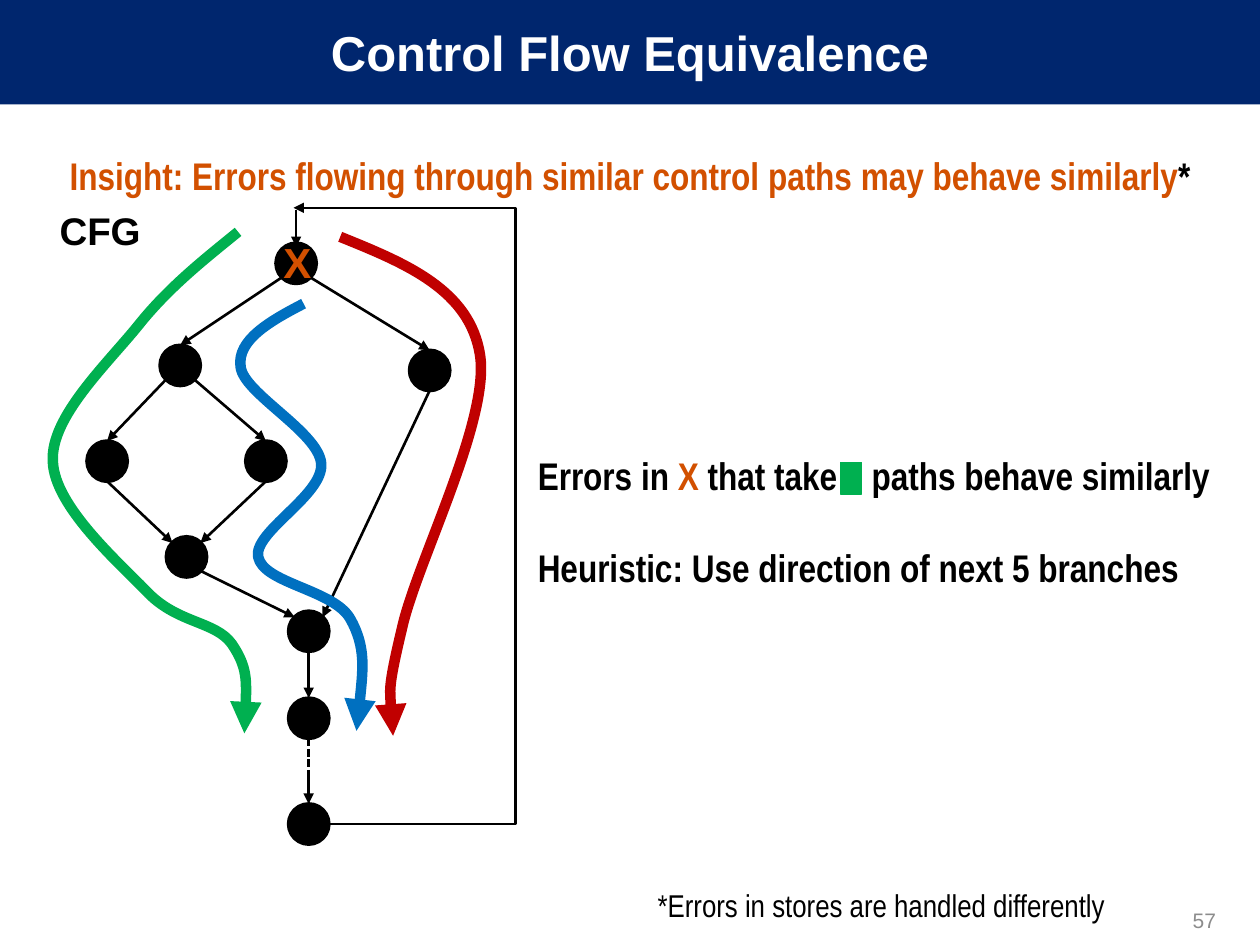
from dataclasses import dataclass

from lxml import etree
from pptx import Presentation
from pptx.dml.color import RGBColor
from pptx.enum.dml import MSO_LINE
from pptx.enum.shapes import MSO_CONNECTOR, MSO_SHAPE
from pptx.enum.text import MSO_ANCHOR, MSO_AUTO_SIZE, PP_ALIGN
from pptx.oxml.ns import qn
from pptx.util import Inches, Pt

STRAIGHT, ELBOW = MSO_CONNECTOR.STRAIGHT, MSO_CONNECTOR.ELBOW
OVAL, RECTANGLE = MSO_SHAPE.OVAL, MSO_SHAPE.RECTANGLE
LEFT, CENTER, RIGHT = PP_ALIGN.LEFT, PP_ALIGN.CENTER, PP_ALIGN.RIGHT
TOP, MIDDLE = MSO_ANCHOR.TOP, MSO_ANCHOR.MIDDLE
SHORT_DASH = MSO_LINE.SQUARE_DOT
NO_AUTOFIT = MSO_AUTO_SIZE.NONE


@dataclass(frozen=True)
class Theme:
    navy: str = "00266E"
    white: str = "FFFFFF"
    black: str = "000000"
    accent: str = "D25000"
    gray: str = "8C8C8C"
    green: str = "00B050"
    blue: str = "0070C0"
    red: str = "C00000"
    sans: str = "Arial"
    narrow: str = "Arial Narrow"
    title: int = 28
    mark: int = 24
    text: int = 22
    note: int = 18
    number: int = 12
    edge: float = 1.5
    route: float = 6


THEME = Theme()

# Graph lengths are inches from the top left corner of the graph's box
RADIUS = 0.16
NODES = {
    "X": (1.95, 0.49), "left": (1.03, 1.3), "right": (3.01, 1.34),
    "low left": (0.45, 2.06), "low right": (1.71, 2.06), "join": (1.08, 2.82),
    "merge": (2.05, 3.41), "next": (2.05, 4.1), "exit": (2.05, 4.94),
}
ANCHORS = {
    "top": (0, -RADIUS), "bottom": (0, RADIUS),
    "NW": (-0.11, -0.11), "NE": (0.11, -0.11),
    "SW": (-0.11, 0.11), "SE": (0.11, 0.11),
}
EDGES = [
    ("X", "SE", "right", "top"), ("X", "SW", "left", "top"),
    ("left", "SE", "low right", "top"), ("left", "SW", "low left", "top"),
    ("low left", "bottom", "join", "NW"), ("low right", "bottom", "join", "NE"),
    ("join", "SE", "merge", "NW"), ("right", "bottom", "merge", "NE"),
    ("merge", "bottom", "next", "top"),
]
# Each route: a start, then three Bezier points for every curve
ROUTES = {
    THEME.green: [
        (1.49, 0.24), (1.22, 0.46), (0.94, 0.68), (0.7, 0.98),
        (0.45, 1.29), (0, 1.71), (0.02, 2.06), (0.03, 2.42), (0.55, 2.87),
        (0.78, 3.11), (1.02, 3.35), (1.31, 3.33), (1.44, 3.51),
        (1.57, 3.7), (1.56, 3.96), (1.54, 4.22)],
    THEME.blue: [
        (2.01, 0.81), (1.74, 0.95), (1.48, 1.1), (1.51, 1.31),
        (1.53, 1.52), (2.13, 1.83), (2.15, 2.08), (2.17, 2.33), (1.61, 2.62),
        (1.65, 2.82), (1.69, 3.03), (2.25, 3.08), (2.38, 3.31),
        (2.51, 3.54), (2.47, 3.87), (2.43, 4.2)],
    THEME.red: [
        (2.3, 0.28), (2.82, 0.49), (3.33, 0.7), (3.41, 1.22),
        (3.49, 1.74), (2.9, 2.88), (2.79, 3.39),
        (2.67, 3.89), (2.7, 4.07), (2.72, 4.24)],
}


def color(value):
    return RGBColor.from_string(value)


def style(span, size, tint=THEME.black, face=THEME.sans, bold=True):
    span.font.size, span.font.name, span.font.bold = Pt(size), face, bold
    span.font.color.rgb = color(tint)


def place(shape, box):
    shape.left, shape.top, shape.width, shape.height = map(Inches, box)


def add_spans(para, spans, size, face=THEME.narrow, bold=True):
    for words, tint in spans:
        span = para.add_run()
        span.text = words
        style(span, size, tint, face, bold)


def add_label(page, box, words, size, tint=THEME.black, face=THEME.sans,
              bold=True, align=LEFT, anchor=TOP, wrap=True):
    label = page.shapes.add_textbox(*map(Inches, box))
    frame = label.text_frame
    frame.word_wrap, frame.vertical_anchor = wrap, anchor
    para = frame.paragraphs[0]
    para.alignment = align
    add_spans(para, [(words, tint)], size, face, bold)
    return label


def add_solid(page, kind, box, fill, line_width=None):
    shape = page.shapes.add_shape(kind, *map(Inches, box))
    shape.shadow.inherit = False
    shape.fill.solid()
    shape.fill.fore_color.rgb = color(fill)
    if line_width:
        shape.line.color.rgb = color(fill)
        shape.line.width = Pt(line_width)
    else:
        shape.line.fill.background()
    return shape


def add_arrowhead(shape):
    line = shape.element.spPr.find(qn("a:ln"))
    etree.SubElement(line, qn("a:tailEnd"), type="triangle")


def add_edge(page, start, end, kind=STRAIGHT, dashed=False):
    edge = page.shapes.add_connector(kind, *map(Inches, (*start, *end)))
    edge.line.color.rgb = color(THEME.black)
    edge.line.width = Pt(THEME.edge)
    if dashed:
        edge.line.dash_style = SHORT_DASH
    else:
        add_arrowhead(edge)
    etree.SubElement(edge.element.spPr, qn("a:effectLst"))
    return edge


def add_route(page, points, tint):
    start, *rest = [(Inches(x), Inches(y)) for x, y in points]
    builder = page.shapes.build_freeform(*start)
    builder.add_line_segments(rest, close=False)
    route = builder.convert_to_shape()
    # Merge each three straight segments into one Bezier curve
    segments = list(route.element.iter(qn("a:lnTo")))
    for first in range(0, len(segments), 3):
        curve = etree.Element(qn("a:cubicBezTo"))
        segments[first].addprevious(curve)
        for segment in segments[first:first + 3]:
            curve.append(segment[0])
            segment.getparent().remove(segment)
    route.shadow.inherit = False
    route.fill.background()
    route.line.color.rgb = color(tint)
    route.line.width = Pt(THEME.route)
    add_arrowhead(route)


def add_heading(page, box):
    title = page.shapes.title
    place(title, box)
    band = add_solid(page, RECTANGLE, box, THEME.navy)
    title.element.addprevious(band.element)
    frame = title.text_frame
    frame.text = "Control Flow Equivalence"
    frame.vertical_anchor, frame.auto_size = MIDDLE, NO_AUTOFIT
    frame.paragraphs[0].alignment = CENTER
    style(frame.paragraphs[0].runs[0], THEME.title, THEME.white)


def add_insight(page, box):
    body = page.placeholders[1]
    place(body, box)
    body.text_frame.auto_size = NO_AUTOFIT
    para = body.text_frame.paragraphs[0]
    props = para._p.get_or_add_pPr()
    props.set("marL", "0")
    props.set("indent", "0")
    etree.SubElement(props, qn("a:buNone"))
    para.alignment, para.line_spacing, para.space_before = CENTER, 1.2, Pt(0)
    add_spans(para, [
        ("Insight: Errors flowing through similar control paths may behave similarly",
         THEME.accent), ("*", THEME.black)], THEME.text)


def add_flow_graph(page, box):
    left, top, width, height = box

    def at(point, offset=(0, 0)):
        return left + point[0] + offset[0], top + point[1] + offset[1]

    # Nodes and branches
    for center in NODES.values():
        add_solid(page, OVAL, (*at(center, (-RADIUS, -RADIUS)), 2 * RADIUS, 2 * RADIUS),
                  THEME.black, 2)
    for source, leaving, target, entering in EDGES:
        add_edge(page, at(NODES[source], ANCHORS[leaving]),
                 at(NODES[target], ANCHORS[entering]))

    # Labels
    add_label(page, (left - 0.07, top - 0.03, 0.93, 0.51), "CFG", THEME.text,
              align=CENTER, anchor=MIDDLE, wrap=False)
    add_label(page, (*at((1.75, 0.23)), 0.43, 0.5), "X", THEME.mark,
              THEME.accent, wrap=False)

    # Elided blocks before the exit
    gap = at((2.05, 4.55))
    add_edge(page, at(NODES["next"], ANCHORS["bottom"]), gap, dashed=True)
    add_edge(page, gap, at(NODES["exit"], ANCHORS["top"]))

    for tint, points in ROUTES.items():
        add_route(page, [at(point) for point in points], tint)

    # Entry, and the way back around the right side of the box
    add_edge(page, at((1.95, 0.07)), at((1.95, 0.36)))
    start, end = at(NODES["exit"], (RADIUS, 0)), at((1.93, 0.05))
    back = add_edge(page, start, end, ELBOW)
    bend = (start[0] - left - width) / (start[0] - end[0])
    guides = back.element.spPr.find(qn("a:prstGeom")).get_or_add_avLst()
    etree.SubElement(guides, qn("a:gd"), name="adj1", fmla=f"val {round(bend * 100000)}")


def add_findings(page, box):
    left, top, width, height = box
    findings = page.shapes.add_textbox(*map(Inches, box))
    frame = findings.text_frame
    frame.word_wrap = True
    para = frame.paragraphs[0]
    stops = etree.SubElement(para._p.get_or_add_pPr(), qn("a:tabLst"))
    etree.SubElement(stops, qn("a:tab"), pos=str(Inches(2.65)), algn="l")
    add_spans(para, [("Errors in ", THEME.black), ("X", THEME.accent),
                     (" that take\tpaths behave similarly", THEME.black)], THEME.text)
    para = frame.add_paragraph()
    para.space_before = Pt(26)
    add_spans(para, [("Heuristic: Use direction of next 5 branches", THEME.black)],
              THEME.text)
    # Color key in the gap of the first line
    add_solid(page, RECTANGLE, (left + 2.5, top + 0.13, 0.17, 0.25), THEME.green, 0.75)


def add_footer(page, box):
    left, top, width, height = box
    note = add_label(page, (left, top, 4.75, height), "*Errors in stores are handled differently",
                     THEME.note, face=THEME.narrow, bold=False, align=CENTER)
    note.text_frame.paragraphs[0].line_spacing = 1.2
    add_label(page, (left + width - 2.33, top + 0.18, 2.33, 0.4), "57", THEME.number,
              THEME.gray, bold=False, align=RIGHT, anchor=MIDDLE)


def main():
    deck = Presentation()
    deck.slide_width, deck.slide_height = Inches(10), Inches(7.5)
    page = deck.slides.add_slide(deck.slide_layouts[1])
    add_heading(page, (0, 0, 10, 0.83))
    add_insight(page, (0, 1.08, 10, 0.79))
    add_flow_graph(page, (0.4, 1.6, 3.69, 5.1))
    add_findings(page, (4.17, 3.54, 5.67, 1.21))
    add_footer(page, (4.62, 6.92, 5.13, 0.54))
    deck.save("out.pptx")


if __name__ == "__main__":
    main()
